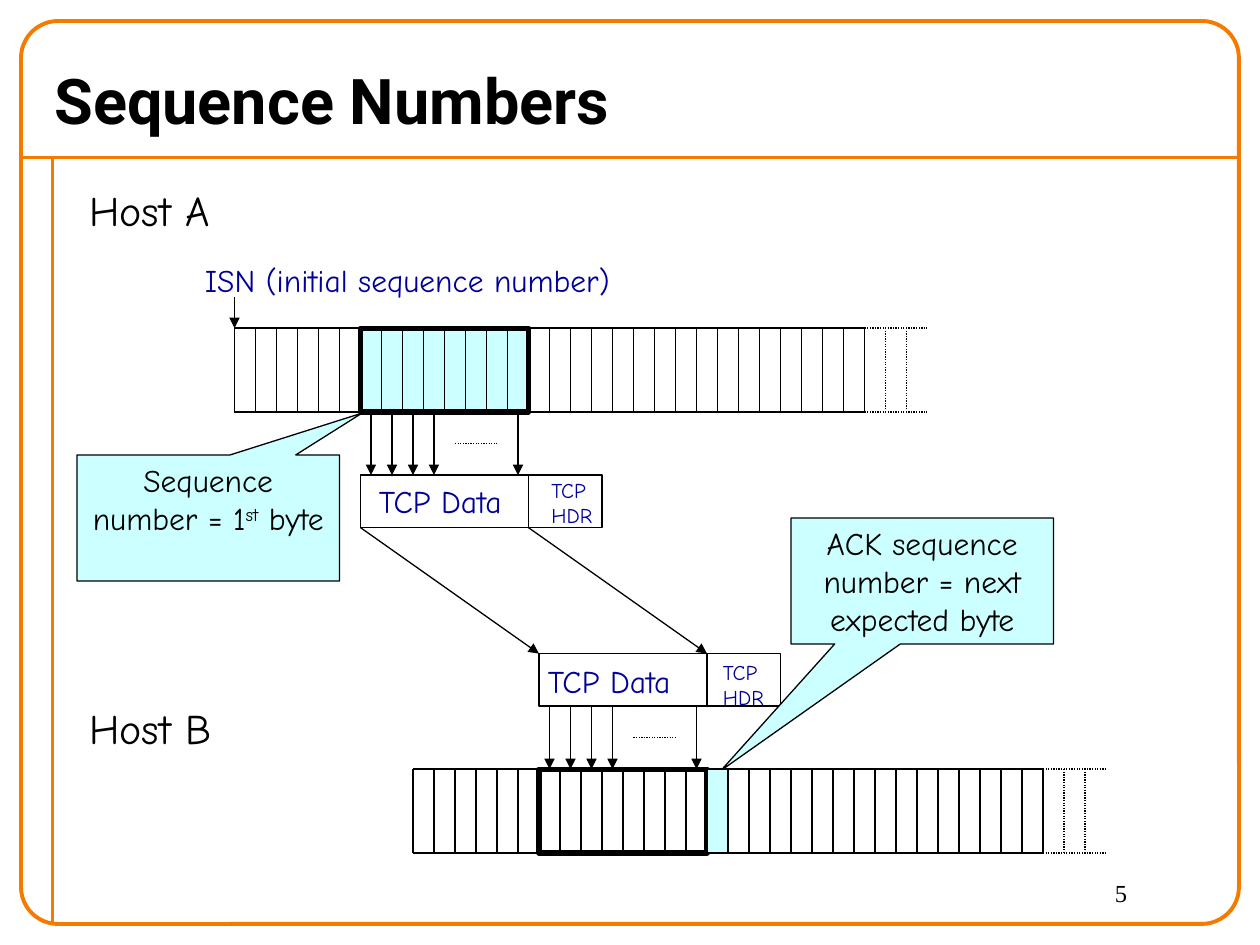
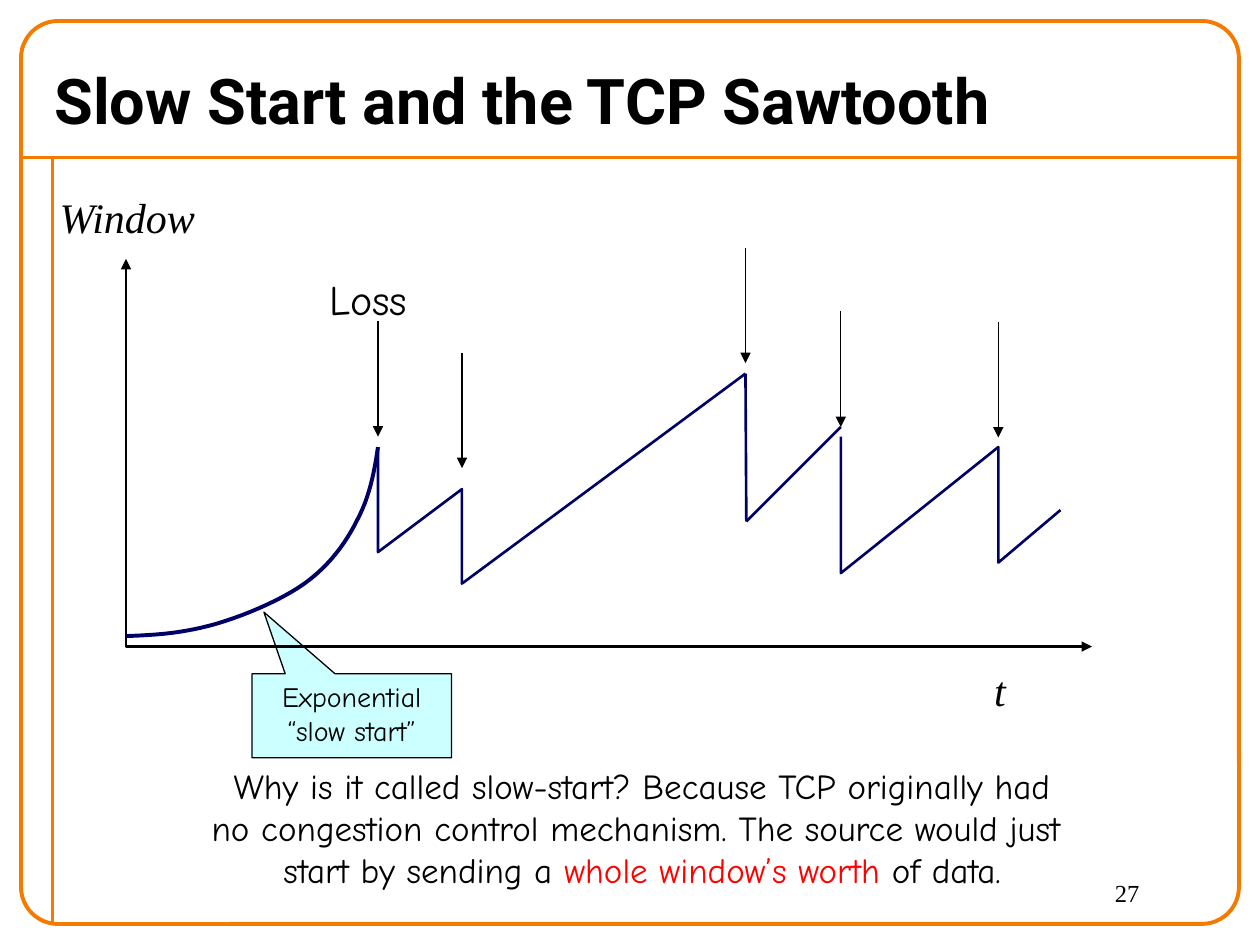
from lxml.etree import SubElement
from pptx import Presentation
from pptx.dml.color import RGBColor
from pptx.enum.dml import MSO_LINE
from pptx.enum.shapes import MSO_CONNECTOR, MSO_SHAPE
from pptx.enum.text import MSO_ANCHOR, MSO_AUTO_SIZE, PP_ALIGN
from pptx.oxml.ns import qn
from pptx.util import Pt

rgb = RGBColor.from_string
STRAIGHT = MSO_CONNECTOR.STRAIGHT
RECT = MSO_SHAPE.RECTANGLE
CALLOUT = MSO_SHAPE.RECTANGULAR_CALLOUT
DOTTED = MSO_LINE.ROUND_DOT

ORANGE, BLACK, WHITE, RED = "F47A00", "000000", "FFFFFF", "FF0000"
AQUA, BLUE, NAVY = "CCFFFF", "000099", "000066"
HAND, HEADING, SERIF = "Comic Neue", "Roboto", "Times New Roman"


def style(shape, width=0.75, color=BLACK, fill=None, dash=None, ends=()):
    """Set line, fill and arrowheads (headEnd, tailEnd) and drop the shadow."""
    shape.line.color.rgb = rgb(color)
    shape.line.width = Pt(width)
    if dash:
        shape.line.dash_style = dash
    for end in ends:
        SubElement(shape.line._get_or_add_ln(), qn("a:" + end), type="triangle")
    if fill:
        shape.fill.solid()
        shape.fill.fore_color.rgb = rgb(fill)
    elif hasattr(shape, "fill"):
        shape.fill.background()
    SubElement(shape._element.spPr, qn("a:effectLst"))


def format_text(shape, size, font=HAND, color=BLACK, align=PP_ALIGN.LEFT,
                wrap=True, bold=False, italic=False):
    frame = shape.text_frame
    frame.word_wrap = wrap
    frame.auto_size = MSO_AUTO_SIZE.NONE if wrap else MSO_AUTO_SIZE.SHAPE_TO_FIT_TEXT
    frame.vertical_anchor = MSO_ANCHOR.TOP
    for paragraph in frame.paragraphs:
        paragraph.alignment = align
        for run in paragraph.runs:
            run.font.size = Pt(size)
            run.font.name = font
            run.font.color.rgb = rgb(color)
            run.font.bold = bold
            run.font.italic = italic


prs = Presentation()
prs.slide_width, prs.slide_height = Pt(720), Pt(540)

# Shared frame, title and slide number
pages = []
for title, number in (("Sequence Numbers", "5"),
                      ("Slow Start and the TCP Sawtooth", "27")):
    shapes = prs.slides.add_slide(prs.slide_layouts[6]).shapes
    pages.append(shapes)
    for rule in ((12, 90, 708, 90), (30, 90, 30, 528)):
        style(shapes.add_connector(STRAIGHT, *map(Pt, rule)), 2.25, ORANGE)
    border = shapes.add_shape(MSO_SHAPE.ROUNDED_RECTANGLE,
                              Pt(12), Pt(12), Pt(696), Pt(516))
    border.adjustments[0] = 0.041
    style(border, 2.25, ORANGE)
    page_number = shapes.add_textbox(Pt(630), Pt(498), Pt(72), Pt(30))
    page_number.text_frame.text = number
    format_text(page_number, 14, SERIF)
    heading = shapes.add_textbox(Pt(24), Pt(30), Pt(696), Pt(54))
    heading.text_frame.text = title
    format_text(heading, 36, HEADING, bold=True)
    heading.text_frame.vertical_anchor = MSO_ANCHOR.MIDDLE

sequence, sawtooth = pages

# Byte streams of both hosts: 30 cells, then dotted ones
CELL, CELLS, STREAM_HEIGHT = 12, 30, 48
SEGMENT_START, SEGMENT_WIDTH = 6 * CELL, 8 * CELL
PACKET_HEIGHT, HEADER_WIDTH, GAP = 30, 42, 36

for left, top, segment_fill in ((134, 187.5, AQUA), (236, 439.5, None)):
    bottom, right = top + STREAM_HEIGHT, left + CELLS * CELL
    segment = sequence.add_shape(RECT, Pt(left + SEGMENT_START), Pt(top),
                                 Pt(SEGMENT_WIDTH), Pt(STREAM_HEIGHT))
    style(segment, 3, fill=segment_fill)
    for y in (top, bottom):
        style(sequence.add_connector(STRAIGHT, Pt(left), Pt(y), Pt(right), Pt(y)))
        style(sequence.add_connector(STRAIGHT, Pt(right), Pt(y), Pt(right + 36), Pt(y)),
              dash=DOTTED)
    for i in range(CELLS + 3):
        x = left + i * CELL
        style(sequence.add_connector(STRAIGHT, Pt(x), Pt(top), Pt(x), Pt(bottom)),
              dash=DOTTED if i > CELLS else None)

# Packets with the arrows that fill them or empty them
for left, top, arrows_top in ((206, 271.5, 235.5), (308, 373.5, 403.5)):
    for x, width in ((left, SEGMENT_WIDTH), (left + SEGMENT_WIDTH, HEADER_WIDTH)):
        style(sequence.add_shape(RECT, Pt(x), Pt(top), Pt(width), Pt(PACKET_HEIGHT)),
              fill=WHITE)
    for i in (0, 1, 2, 3, 7):
        x = left + (i + 0.5) * CELL
        style(sequence.add_connector(STRAIGHT, Pt(x), Pt(arrows_top),
                                     Pt(x), Pt(arrows_top + GAP)), ends=["tailEnd"])
    y = arrows_top + GAP / 2
    style(sequence.add_connector(STRAIGHT, Pt(left + 54), Pt(y), Pt(left + 78), Pt(y)),
          dash=DOTTED)

for arrow in ((206, 301.5, 308, 373.5), (302, 301.5, 404, 373.5),
              (134, 170, 134, 187.5)):
    style(sequence.add_connector(STRAIGHT, *map(Pt, arrow)), ends=["tailEnd"])

for text, box, size, color in (
        ("Host A", (44, 102, 94, 36), 24, BLACK),
        ("Host B", (44, 398, 91, 36), 24, BLACK),
        ("TCP Data", (209.5, 272, 92, 29), 18, BLUE),
        ("TCP Data", (306, 375, 92, 29), 18, BLUE),
        ("TCP\nHDR", (308, 269.5, 40, 36), 12, BLUE),
        ("TCP\nHDR", (406, 373.5, 40, 36), 12, BLUE),
        ("ISN (initial sequence number)", (110, 145.5, 266, 29), 18, BLUE)):
    label = sequence.add_textbox(*map(Pt, box))
    label.text_frame.text = text
    format_text(label, size, color=color, wrap=False)

# Callouts of both slides; later pieces of a text become runs of their own
callouts = []
for shapes, pieces, box, tip, size in (
        (sequence, ("Sequence number = 1", "st", " byte"),
         (44, 260, 150, 72), (0.586, -0.832), 18),
        (sequence, ("ACK sequence number = next expected byte",),
         (452, 296, 150, 72), (-0.767, 1.505), 18),
        (sawtooth, ("Exponential\v“slow start”",),
         (144, 385, 114, 48), (-0.44, -1.234), 16)):
    callout = shapes.add_shape(CALLOUT, *map(Pt, box))
    callout.adjustments[0], callout.adjustments[1] = tip
    style(callout, fill=AQUA)
    paragraph = callout.text_frame.paragraphs[0]
    paragraph.text = pieces[0]
    for piece in pieces[1:]:
        paragraph.add_run().text = piece
    format_text(callout, size, align=PP_ALIGN.CENTER)
    callouts.append(callout)
ordinal = callouts[0].text_frame.paragraphs[0].runs[1]
ordinal.font._element.set("baseline", "30000")

next_byte = sequence.add_shape(RECT, Pt(404), Pt(439.5), Pt(CELL), Pt(STREAM_HEIGHT))
style(next_byte, fill=AQUA)

# Slow-start curve: four Bézier pieces (two controls and an end each)
slow_start = [(216, 255.5)]
for c1, c2, end in (((214, 270), (211, 284.5), (204, 297.5)),
                    ((197.5, 310.5), (188, 323.5), (174, 333.5)),
                    ((160, 343.5), (137, 353), (120, 357.5)),
                    ((103, 362), (88, 363), (72, 363.5))):
    start = slow_start[-1]
    for step in range(1, 13):
        t = step / 12
        slow_start.append(tuple(
            (1 - t) ** 3 * a + 3 * (1 - t) ** 2 * t * b + 3 * (1 - t) * t ** 2 * c + t ** 3 * d
            for a, b, c, d in zip(start, c1, c2, end)))

axes = [(72, 148), (72, 369.5), (624, 369.5)]
first_losses = [(216, 255.5), (216, 315.5), (264, 279.5), (264, 333.5), (426, 213.5)]
last_losses = [(480.5, 249.5), (480.5, 327.5), (570.5, 255.5), (570.5, 321.5), (606, 291.5)]
for points, width, color, ends in (
        (axes, 1.5, BLACK, ("headEnd", "tailEnd")),
        (slow_start, 2.25, NAVY, ()),
        (first_losses, 1.5, NAVY, ()),
        (last_losses, 1.5, NAVY, ())):
    corners = [(Pt(x), Pt(y)) for x, y in points]
    builder = sawtooth.build_freeform(*corners[0])
    builder.add_line_segments(corners[1:], close=False)
    style(builder.convert_to_shape(), width, color, ends=ends)

for stroke in ((426.5, 298, 480.5, 244), (426, 213.5, 426.5, 298)):
    style(sawtooth.add_connector(STRAIGHT, *map(Pt, stroke)), 1.5, NAVY)

for x, y in ((216, 183.5), (264, 201.5), (426, 141.5), (480.5, 178), (570.5, 184)):
    style(sawtooth.add_connector(STRAIGHT, Pt(x), Pt(y), Pt(x), Pt(y + 66)),
          ends=["tailEnd"])

for text, box, font in (("Loss", (181.5, 152.5, 64, 36), HAND),
                        ("t", (561, 376, 21, 36), SERIF),
                        ("Window", (27, 106, 93, 36), SERIF)):
    label = sawtooth.add_textbox(*map(Pt, box))
    label.text_frame.text = text
    format_text(label, 24, font, wrap=False, italic=font == SERIF)

reason = sawtooth.add_textbox(Pt(97), Pt(433.5), Pt(540), Pt(79))
reason.text_frame.text = (
    "Why is it called slow-start? Because TCP originally had\n"
    "no congestion control mechanism. The source would just \v"
    "start by sending a ")
answer = reason.text_frame.paragraphs[1]
whole_window = answer.add_run()
whole_window.text = "whole window’s worth"
answer.add_run().text = " of data."
format_text(reason, 20, align=PP_ALIGN.CENTER, wrap=False)
whole_window.font.color.rgb = rgb(RED)

prs.save("out.pptx")
